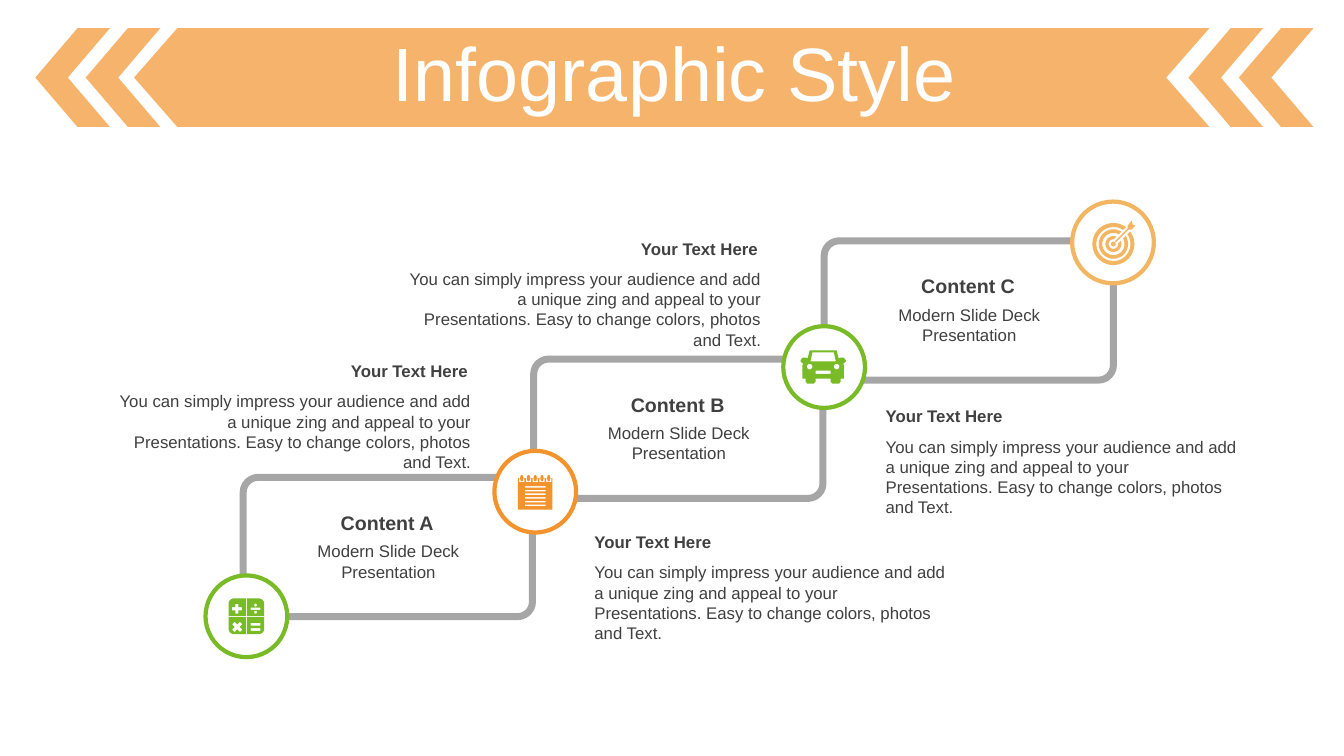
from math import asin, copysign, cos, pi, sin

from lxml import etree
from pptx import Presentation
from pptx import util as u
from pptx.dml import color
from pptx.enum import shapes, text
from pptx.oxml import ns

Cm = u.Cm
FONT = "Arial"
ORANGE, GREEN, GOLD = "F3932D", "79BA27", "F2B662"
GREY, DARK, WHITE = "A6A6A6", "404040", "FFFFFF"
LEFT, MID, RIGHT = text.PP_ALIGN.LEFT, text.PP_ALIGN.CENTER, text.PP_ALIGN.RIGHT
HEAD = "Your Text Here"
BODY = ("You can simply impress your audience and add a unique zing and appeal "
        "to your Presentations. Easy to change colors, photos and Text.")


def rgb(code):
    return color.RGBColor.from_string(code)


def paint(shape, fill=None, line=None, width=0, alpha=None):
    shape.shadow.inherit = False
    if fill:
        shape.fill.solid()
        shape.fill.fore_color.rgb = rgb(fill)
    else:
        shape.fill.background()
    if line:
        shape.line.color.rgb = rgb(line)
        shape.line.width = u.Pt(width)
    else:
        shape.line.fill.background()
    if alpha:
        tint = shape.fill._xPr.find(".//" + ns.qn("a:srgbClr"))
        etree.SubElement(tint, ns.qn("a:alpha")).set("val", str(alpha * 1000))


def preset(slide, kind, x, y, w, h):
    return slide.shapes.add_shape(kind, Cm(x), Cm(y), Cm(w), Cm(h))


def outline(slide, rings, x=0, y=0, unit=1):
    rings = [[(Cm(x + a * unit), Cm(y + b * unit)) for a, b in ring] for ring in rings]
    maker = slide.shapes.build_freeform(*rings[0][0])
    maker.add_line_segments(rings[0][1:])
    for ring in rings[1:]:
        maker.move_to(*ring[0])
        maker.add_line_segments(ring[1:])
    return maker.convert_to_shape()


def style(para, size, hue, align, bold=False):
    para.alignment = align
    for run in para.runs:
        run.font.name = FONT
        run.font.size = u.Pt(size)
        run.font.bold = bold
        run.font.color.rgb = rgb(hue)


def label(slide, words, x, y, w, h, align, size=12, bold=False):
    frame = slide.shapes.add_textbox(Cm(x), Cm(y), Cm(w), Cm(h)).text_frame
    frame.word_wrap = True
    frame.text = words
    style(frame.paragraphs[0], size, DARK, align, bold)
    return frame


def box(x, y, w, h):
    return [(x, y), (x + w, y), (x + w, y + h), (x, y + h)]


def oval(x, y, rx, ry, flat=0):
    turns = [(k + 0.5) * pi / 20 for k in range(40)]
    return [(x + rx * cos(t) + copysign(flat, cos(t)),
             y + ry * sin(t) + copysign(flat, sin(t))) for t in turns]


def cross(x, y, arm, half, turn=0):
    spots = []
    for k in range(4):
        t = turn + k * pi / 2
        for a, b in ((half, -half), (arm, -half), (arm, half)):
            spots.append((x + a * cos(t) - b * sin(t), y + a * sin(t) + b * cos(t)))
    return spots


def band(x, y, outer, inner, gap=0.75):
    def arc(r):
        slip = asin(gap / r)
        turns = [-pi / 4 + slip + k / 40 * (2 * pi - 2 * slip) for k in range(41)]
        return [(x + r * cos(t), y + r * sin(t)) for t in turns]
    return arc(outer) + arc(inner)[::-1]


def mirror(half, x):
    return [(x + a, b) for a, b in half] + [(x - a, b) for a, b in half[::-1]]


def adder():
    return [oval(0, 0, 1.4, 1.4, 3.1), cross(0, 0, 4.5, 0.13),
            cross(-2.4, -1.9, 1.25, 0.4), cross(-2.3, 2.7, 1.4, 0.45, pi / 4),
            box(1.1, -2.2, 2.4, 0.6), oval(2.3, -2.8, 0.38, 0.38),
            oval(2.3, -1, 0.38, 0.38), box(1.1, 1.65, 2.4, 0.7), box(1.1, 3, 2.4, 0.7)]


def pad():
    rings = [box(-4.4, -3.4, 8.7, 7.9)]
    rings += [box(-2.6, -1.4 + 0.93 * k, 5.2, 0.4) for k in range(6)]
    for k in range(5):
        x = -3.4 + 1.7 * k
        rings += [box(x - 0.65, -3.4, 1.3, 1), oval(x, -3.4, 0.4, 0.8)]
    return rings


def car():
    side = [(3.4, -4.2), (3.9, -2.2), (4.4, -2.4), (5.2, -2.4), (5.7, -1.7), (5.7, -1.4),
            (5.2, -0.9), (5, -0.9), (5.2, -0.5), (5.2, 2.9), (4.4, 2.9), (4.4, 3.7),
            (4, 4.2), (2.4, 4.2), (1.9, 3.7), (1.9, 2.9)]
    x = -0.25
    return [mirror(side, x), mirror([(2.7, -3.7), (3.2, -1.4)], x),
            oval(x - 3.4, -0.1, 0.7, 0.7), oval(x + 3.4, -0.1, 0.7, 0.7),
            box(x - 1.9, 0.9, 3.8, 0.8)]


def target():
    x, y = 0.1, 0.4
    arrow = [(0.75, -0.05), (3.9, -3.2), (4.7, -3.2), (5.7, -4.4), (5, -4.4),
             (4.7, -5.5), (3.7, -4.2), (3.7, -3.5), (0.5, -0.3)]
    return [band(x, y, 5.3, 4.3), band(x, y, 3.7, 2.8), band(x, y, 2, 1.2),
            oval(x, y, 0.6, 0.6), arrow]


def banner(slide, x, y, w, h):
    wide, tip, step = 1.88, 1.09, 1.27
    for left in (x, x + step, x + w - wide - step, x + w - wide):
        mark = preset(slide, shapes.MSO_SHAPE.CHEVRON, left, y, wide, h)
        mark.adjustments[0] = 0.565
        mark.rotation = 180
        paint(mark, ORANGE, alpha=70)
    a, b = x + 2.49, x + w - 2.62
    bar = [(a + tip, y), (b, y), (b - tip, y + h / 2), (b, y + h),
           (a + tip, y + h), (a, y + h / 2)]
    paint(outline(slide, [bar]), ORANGE, alpha=70)
    title = slide.shapes.title
    title.left, title.top, title.width, title.height = Cm(x), Cm(y + 0.23), Cm(w), Cm(2.01)
    frame = title.text_frame
    frame.text = "Infographic Style"
    frame.auto_size = text.MSO_AUTO_SIZE.NONE
    frame.vertical_anchor = text.MSO_ANCHOR.MIDDLE
    frame.paragraphs[0].line_spacing = 0.9
    style(frame.paragraphs[0], 54, WHITE, MID)
    slide.shapes._spTree.append(title._element)


def stair(slide, name, x, y, w, h):
    frame = preset(slide, shapes.MSO_SHAPE.ROUNDED_RECTANGLE, x, y, w, h)
    frame.adjustments[0] = 0.107
    paint(frame, line=GREY, width=5)
    label(slide, name, x + 1.28, y + 0.72, 4.7, 0.86, MID, 14, True)
    words = label(slide, "Modern Slide Deck Presentation",
                  x + 1.28, y + 1.48, 4.6, 1.27, MID)
    words.margin_left = Cm(0.41)


def badge(slide, icon, hue, x, y, size):
    disc = preset(slide, shapes.MSO_SHAPE.OVAL, x - size / 2, y - size / 2, size, size)
    paint(disc, WHITE, hue, 3)
    paint(outline(slide, icon(), x, y, 0.1), hue)


def note(slide, x, y, align):
    label(slide, HEAD, x, y, 9.32, 0.76, align, bold=True)
    label(slide, BODY, x, y + 0.76, 9.4, 1.8, align)


def main():
    deck = Presentation()
    deck.slide_width, deck.slide_height = Cm(33.87), Cm(19.05)
    slide = deck.slides.add_slide(deck.slide_layouts[5])
    banner(slide, 0.89, 0.71, 32.21, 2.49)
    for k, name in enumerate(("Content A", "Content B", "Content C")):
        stair(slide, name, 6.13 + 7.32 * k, 12.03 - 2.98 * k, 7.29, 3.51)
    badges = ((adder, GREEN), (pad, ORANGE), (car, GREEN), (target, GOLD))
    for k, (icon, hue) in enumerate(badges):
        badge(slide, icon, hue, 6.21 + 7.28 * k, 15.53 - 3.14 * k, 2.06)
    for x, y, align in ((2.72, 8.97, RIGHT), (10.03, 5.89, RIGHT),
                        (14.73, 13.28, LEFT), (22.07, 10.11, LEFT)):
        note(slide, x, y, align)
    deck.save("out.pptx")


if __name__ == "__main__":
    main()
